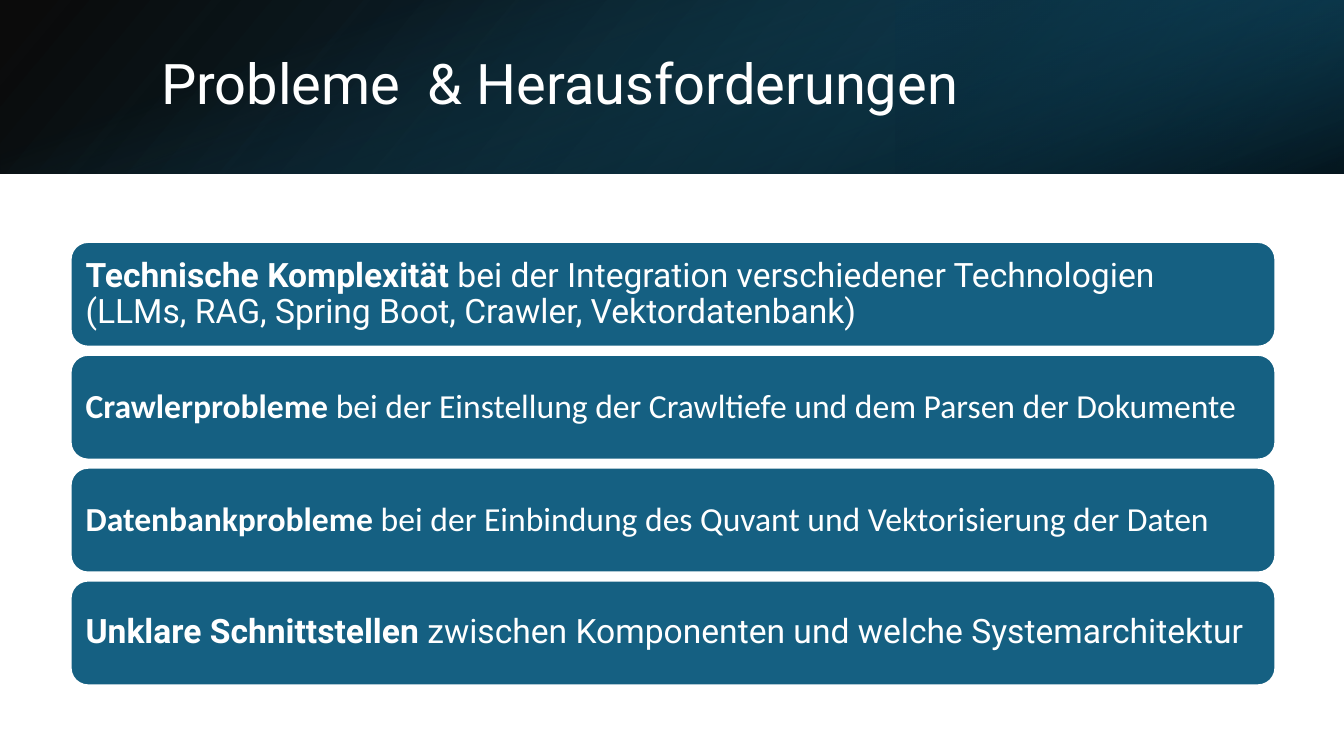
from pptx import Presentation
from pptx import util as u
from pptx.dml.color import RGBColor
from pptx.enum import shapes, text
from pptx.oxml import parse_xml
from pptx.oxml.ns import nsdecls

W, H = 13.33, 7.5
BAND = 0.23 * H
WHITE, BLUE = "FFFFFF", "156082"

deck = Presentation()
deck.slide_width, deck.slide_height = u.Inches(W), u.Inches(H)
slide = deck.slides.add_slide(deck.slide_layouts[6])


def tint(fmt, code):
    """Give a fill or a font a solid colour."""
    if hasattr(fmt, "solid"):
        fmt.solid()
        fmt = fmt.fore_color
    else:
        fmt = fmt.color
    fmt.rgb = RGBColor.from_string(code)


def add_box(kind, x, y, w, h):
    box = slide.shapes.add_shape(kind, *map(u.Inches, (x, y, w, h)))
    box.shadow.inherit = False
    return box


# Header band: three see-through gradients (place, turn, flip, angle, stops)
mid = (W - BAND) / 2
layers = [
    ((0, 0, W, BAND), 0, True, 140, [(0, "000000", 96), (100, "104862", 100)]),
    ((W * 2 / 3, 0, W / 3, BAND), 180, True, 320, [(19, "0B3041", 68), (100, BLUE, 79)]),
    ((mid, -mid, BAND, W), 90, False, 340, [(23, BLUE, 0), (99, "000000", 74)]),
]
for place, turn, flip, angle, stops in layers:
    band = add_box(shapes.MSO_SHAPE.RECTANGLE, *place)
    band.rotation = turn
    band.line.fill.background()
    props = band._element.spPr
    if flip:
        props.xfrm.set("flipH", "1")
    marks = "".join(
        f'<a:gs pos="{pos * 1000}"><a:srgbClr val="{code}">'
        f'<a:alpha val="{alpha * 1000}"/></a:srgbClr></a:gs>'
        for pos, code, alpha in stops
    )
    props.insert(2, parse_xml(
        f'<a:gradFill {nsdecls("a")} rotWithShape="1"><a:gsLst>{marks}</a:gsLst>'
        f'<a:lin ang="{angle * 60000}" scaled="0"/></a:gradFill>'
    ))

# Title
title = slide.shapes.add_textbox(*map(u.Inches, (1.5, 0.38, 10.98, 0.96)))
frame = title.text_frame
frame.word_wrap = True
frame.vertical_anchor = text.MSO_ANCHOR.MIDDLE
para = frame.paragraphs[0]
para.text = "Probleme  & Herausforderungen"
para.line_spacing = 0.9
para.font.name, para.font.size = "Roboto", u.Pt(40)
tint(para.font, WHITE)

# Problem cards: bold term, then its detail
cards = [
    ("Roboto", "Technische Komplexität", " bei der Integration verschiedener Technologien "
     "(LLMs, RAG, Spring Boot, Crawler, Vektordatenbank)"),
    ("Calibri", "Crawlerprobleme",
     " bei der Einstellung der Crawltiefe und dem Parsen der Dokumente"),
    ("Calibri", "Datenbankprobleme",
     " bei der Einbindung des Quvant und Vektorisierung der Daten"),
    ("Roboto", "Unklare Schnittstellen",
     " zwischen Komponenten und welche Systemarchitektur"),
]
top, step, tall = 2.4, 1.12, 1.04
for row, (face, term, detail) in enumerate(cards):
    card = add_box(shapes.MSO_SHAPE.ROUNDED_RECTANGLE, 0.7, top + row * step, 11.95, tall)
    tint(card.fill, BLUE)
    tint(card.line.fill, WHITE)
    card.line.width = u.Pt(1.5)
    frame = card.text_frame
    frame.word_wrap = True
    frame.vertical_anchor = text.MSO_ANCHOR.MIDDLE
    # The rounded corner already insets the text by about 0.05 inch
    frame.margin_left = frame.margin_right = u.Inches(0.1)
    para = frame.paragraphs[0]
    para.alignment = text.PP_ALIGN.LEFT
    para.line_spacing = 0.9
    para.font.name, para.font.size = face, u.Pt(24)
    tint(para.font, WHITE)
    for words, bold in ((term, True), (detail, False)):
        run = para.add_run()
        run.text = words
        run.font.bold = bold

deck.save("out.pptx")
